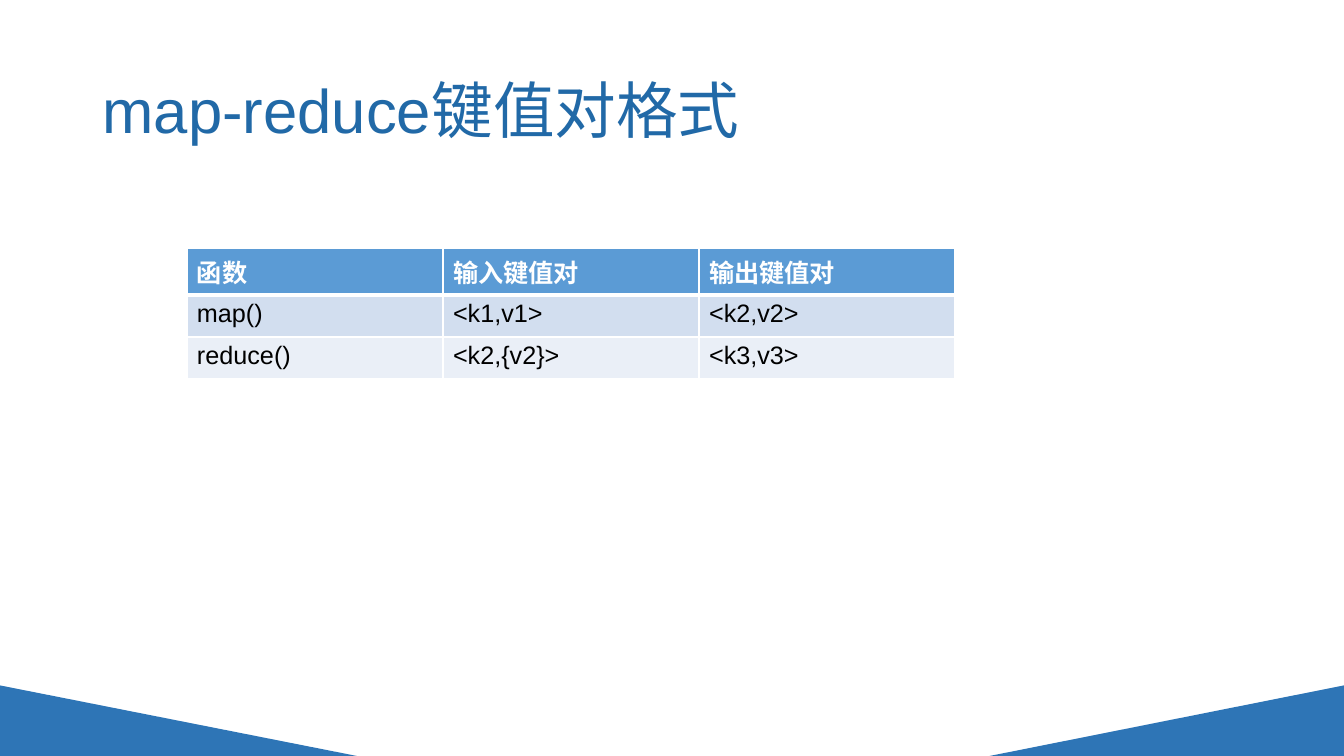
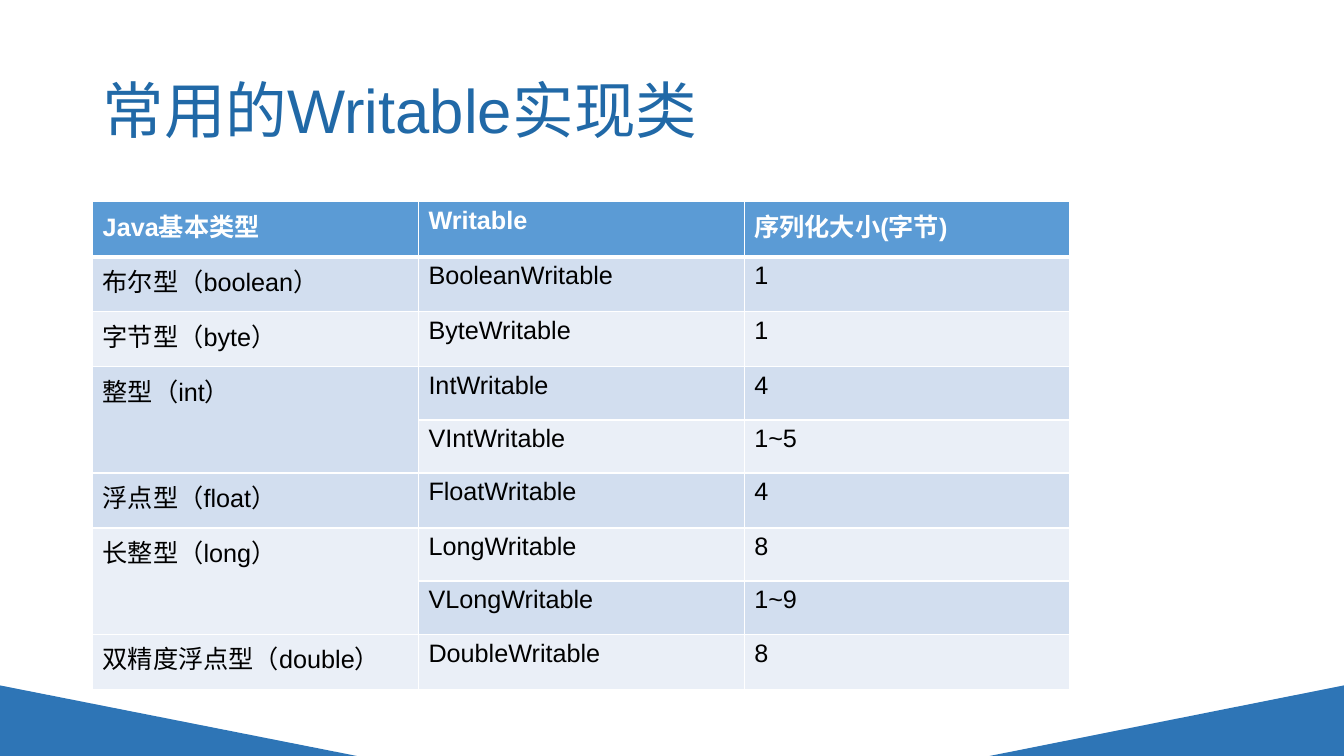
from dataclasses import dataclass
from typing import Optional

from lxml import etree
from pptx import Presentation
from pptx.dml.color import RGBColor
from pptx.enum import shapes, text
from pptx.oxml import ns
from pptx.util import Pt

COLORS = {
    "background": "FFFFFF",
    "title": "2169A7",
    "corner": "2E75B6",
    "header": "5B9BD5",
    "header_text": "FFFFFF",
    "odd_row": "D2DEEF",
    "even_row": "EAEFF7",
    "body_text": "000000",
    "border": "FFFFFF",
}
FONT = "Arial"
SLIDE_WIDTH, SLIDE_HEIGHT = 960, 540
CORNER_HEIGHT = 50.4
THIN, THICK = 1, 3


@dataclass
class Corner:
    left: float
    width: float
    flipped: bool


@dataclass
class Topic:
    title: str
    left: float
    top: float
    column_width: float
    row_height: float
    spanned_row_height: float
    rows: list[tuple[Optional[str], str, str]]


CORNERS = [Corner(0, 254.9, False), Corner(706.9, 253.1, True)]

TOPICS = [
    Topic(
        "map-reduce键值对格式", 133.5, 177.5, 182.9, 29.9, 29.9,
        [
            ("函数", "输入键值对", "输出键值对"),
            ("map()", "<k1,v1>", "<k2,v2>"),
            ("reduce()", "<k2,{v2}>", "<k3,v3>"),
        ],
    ),
    Topic(
        "常用的Writable实现类", 66.2, 144.2, 232.7, 39.3, 37.9,
        [
            ("Java基本类型", "Writable", "序列化大小(字节)"),
            ("布尔型（boolean）", "BooleanWritable", "1"),
            ("字节型（byte）", "ByteWritable", "1"),
            ("整型（int）", "IntWritable", "4"),
            (None, "VIntWritable", "1~5"),
            ("浮点型（float）", "FloatWritable", "4"),
            ("长整型（long）", "LongWritable", "8"),
            (None, "VLongWritable", "1~9"),
            ("双精度浮点型（double）", "DoubleWritable", "8"),
        ],
    ),
]


def rgb(role: str) -> RGBColor:
    return RGBColor.from_string(COLORS[role])


def style_font(font, size: float, role: str, bold: bool = False) -> None:
    font.name = FONT
    font.size = Pt(size)
    font.bold = bold
    font.color.rgb = rgb(role)


def add_corner(slide, layout, corner: Corner) -> None:
    triangle = slide.shapes.add_shape(
        shapes.MSO_SHAPE.RIGHT_TRIANGLE,
        Pt(corner.left), Pt(SLIDE_HEIGHT - CORNER_HEIGHT),
        Pt(corner.width), Pt(CORNER_HEIGHT),
    )
    triangle.shadow.inherit = False
    triangle.fill.solid()
    triangle.fill.fore_color.rgb = rgb("corner")
    triangle.line.fill.background()
    if corner.flipped:
        triangle.element.spPr.find(ns.qn("a:xfrm")).set("flipH", "1")
    layout.shapes.element.append(triangle.element)


def prepare_layout(layout) -> None:
    layout.background.fill.solid()
    layout.background.fill.fore_color.rgb = rgb("background")
    title = layout.placeholders[0]
    title.left, title.top = Pt(66), Pt(28.8)
    title.width, title.height = Pt(828), Pt(104.4)
    title.text_frame.vertical_anchor = text.MSO_ANCHOR.MIDDLE


def add_title(slide, wording: str) -> None:
    title = slide.shapes.title
    title.text_frame.text = wording
    paragraph = title.text_frame.paragraphs[0]
    paragraph.alignment = text.PP_ALIGN.LEFT
    paragraph.line_spacing = 0.9
    style_font(paragraph.font, 44, "title")


def set_borders(cell, top: float, bottom: float) -> None:
    properties = cell._tc.get_or_add_tcPr()
    widths = {"lnL": THIN, "lnR": THIN, "lnT": top, "lnB": bottom}
    for side, width in widths.items():
        line = etree.SubElement(properties, ns.qn(f"a:{side}"), w=str(Pt(width)))
        fill = etree.SubElement(line, ns.qn("a:solidFill"))
        etree.SubElement(fill, ns.qn("a:srgbClr"), val=COLORS["border"])


def format_cell(cell, row: int, wording: Optional[str]) -> None:
    is_header = row == 0
    set_borders(cell, THICK if row == 1 else THIN, THICK if is_header else THIN)
    cell.fill.solid()
    band = "header" if is_header else "odd_row" if row % 2 else "even_row"
    cell.fill.fore_color.rgb = rgb(band)
    if wording is not None:
        cell.text = wording
    ink = "header_text" if is_header else "body_text"
    style_font(cell.text_frame.paragraphs[0].font, 18, ink, is_header)


def add_type_table(slide, topic: Topic) -> None:
    row_count, column_count = len(topic.rows), len(topic.rows[0])
    spanned = {
        member
        for row, values in enumerate(topic.rows) if values[0] is None
        for member in (row - 1, row)
    }
    heights = [
        topic.spanned_row_height if row in spanned else topic.row_height
        for row in range(row_count)
    ]
    table = slide.shapes.add_table(
        row_count, column_count, Pt(topic.left), Pt(topic.top),
        Pt(topic.column_width * column_count), Pt(sum(heights)),
    ).table
    table.first_row = False
    table.horz_banding = False
    for column in table.columns:
        column.width = Pt(topic.column_width)
    for row, values in enumerate(topic.rows):
        table.rows[row].height = Pt(heights[row])
        for column, wording in enumerate(values):
            format_cell(table.cell(row, column), row, wording)
        if values[0] is None:
            table.cell(row - 1, 0).merge(table.cell(row, 0))


def main() -> None:
    presentation = Presentation()
    presentation.slide_width = Pt(SLIDE_WIDTH)
    presentation.slide_height = Pt(SLIDE_HEIGHT)
    layout = presentation.slide_layouts.get_by_name("Title Only")
    prepare_layout(layout)
    slides = [presentation.slides.add_slide(layout) for _ in TOPICS]
    for corner in CORNERS:
        add_corner(slides[0], layout, corner)
    for slide, topic in zip(slides, TOPICS):
        add_title(slide, topic.title)
        add_type_table(slide, topic)
    presentation.save("out.pptx")


if __name__ == "__main__":
    main()
